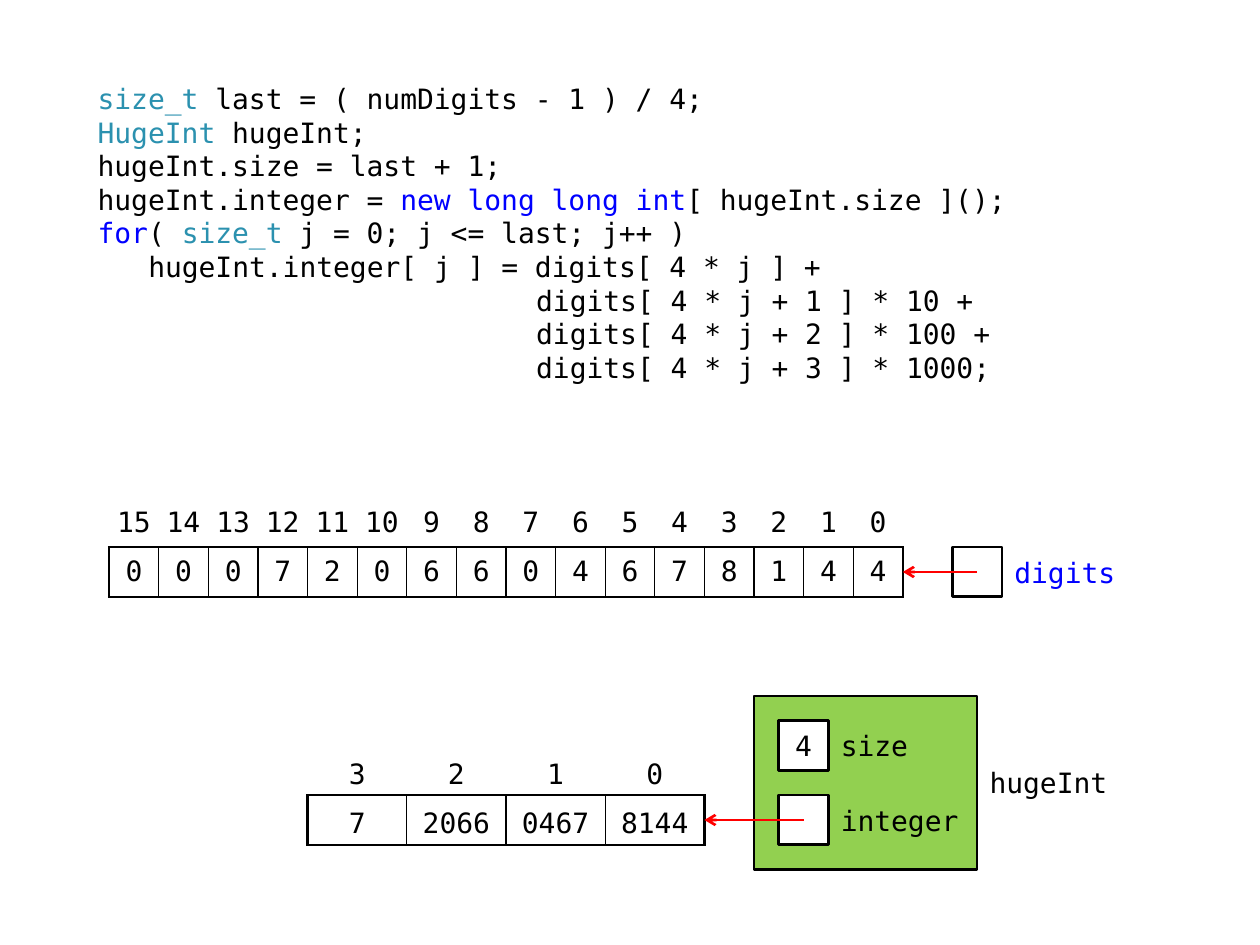
from lxml.etree import SubElement
from pptx import Presentation
from pptx.dml.color import RGBColor
from pptx.enum.shapes import MSO_CONNECTOR, MSO_SHAPE
from pptx.enum.text import MSO_ANCHOR, PP_ALIGN
from pptx.oxml.ns import qn
from pptx.util import Cm, Pt

FONT = "DejaVu Sans Mono"
BLACK, WHITE, GREEN, RED = "000000", "FFFFFF", "92D050", "FF0000"
TYPE, KEYWORD = "2B91AF", "0000FF"
CHARACTER = 0.34
CELL = 1
NO_STYLE = "{2D5ABB26-0587-4C30-8999-92F81FD0307C}"

CODE = [
    (0, [("size_t ", TYPE), ("last = ( numDigits - 1 ) / 4;", BLACK)]),
    (0, [("HugeInt ", TYPE), ("hugeInt;", BLACK)]),
    (0, [("hugeInt.size = last + 1;", BLACK)]),
    (0, [("hugeInt.integer = ", BLACK), ("new long long int", KEYWORD),
         ("[ hugeInt.size ]();", BLACK)]),
    (0, [("for", KEYWORD), ("( ", BLACK), ("size_t", TYPE),
         (" j = 0; j <= last; j++ )", BLACK)]),
    (3, [("hugeInt.integer[ j ] = digits[ 4 * j ] +", BLACK)]),
    (26, [("digits[ 4 * j + 1 ] * 10 +", BLACK)]),
    (26, [("digits[ 4 * j + 2 ] * 100 +", BLACK)]),
    (26, [("digits[ 4 * j + 3 ] * 1000;", BLACK)]),
]


def rgb(value):
    """Turn a hex string into a colour."""
    return RGBColor.from_string(value)


def apply(target, values):
    """Set every attribute in a dict on the target."""
    for name, value in values.items():
        setattr(target, name, value)


def add_span(para, text, color=BLACK):
    """Add a run of monospaced text."""
    span = para.add_run()
    span.text = text
    apply(span.font, {"name": FONT, "size": Pt(16), "bold": False})
    span.font.color.rgb = rgb(color)


def add_code(page, left, top, width, height):
    """Add the program listing with indented lines."""
    frame = page.shapes.add_textbox(Cm(left), Cm(top), Cm(width), Cm(height)).text_frame
    apply(frame, {"word_wrap": True, "vertical_anchor": MSO_ANCHOR.TOP})
    for number, (indent, spans) in enumerate(CODE):
        para = frame.add_paragraph() if number else frame.paragraphs[0]
        para.line_spacing = Pt(19.2)
        properties = para._p.get_or_add_pPr()
        properties.set("marL", str(Cm((indent + 3) * CHARACTER)))
        properties.set("indent", "0")
        for text, color in spans:
            add_span(para, text, color)


def add_label(page, text, left, top, width, height=CELL, color=BLACK):
    """Add a vertically centred caption."""
    frame = page.shapes.add_textbox(Cm(left), Cm(top), Cm(width), Cm(height)).text_frame
    apply(frame, {"word_wrap": True, "vertical_anchor": MSO_ANCHOR.MIDDLE,
                  "margin_left": Cm(0.25), "margin_right": Cm(0.2),
                  "margin_top": 0, "margin_bottom": 0})
    add_span(frame.paragraphs[0], text, color)


def add_box(page, left, top, width=CELL, height=CELL, fill=WHITE, text=""):
    """Add an outlined rectangle with optional centred text."""
    box = page.shapes.add_shape(MSO_SHAPE.RECTANGLE, Cm(left), Cm(top), Cm(width), Cm(height))
    box.shadow.inherit = False
    box.fill.solid()
    box.fill.fore_color.rgb = rgb(fill)
    box.line.color.rgb = rgb(BLACK)
    box.line.width = Pt(1.5)
    if text:
        apply(box.text_frame, {"vertical_anchor": MSO_ANCHOR.MIDDLE, "word_wrap": False})
        para = box.text_frame.paragraphs[0]
        para.alignment = PP_ALIGN.CENTER
        add_span(para, text)


def add_arrow(page, start, end, height):
    """Add a level red pointer arrow."""
    arrow = page.shapes.add_connector(
        MSO_CONNECTOR.STRAIGHT, Cm(start), Cm(height), Cm(end), Cm(height))
    arrow.line.color.rgb = rgb(RED)
    arrow.line.width = Pt(1.5)
    SubElement(arrow.line._get_or_add_ln(), qn("a:tailEnd"), type="arrow")
    SubElement(arrow._element.spPr, qn("a:effectLst"))


def add_border(cell, side, width):
    """Draw one solid black side of a cell."""
    line = SubElement(cell._tc.get_or_add_tcPr(), qn(f"a:ln{side}"), w=str(Pt(width)))
    SubElement(SubElement(line, qn("a:solidFill")), qn("a:srgbClr"), val=BLACK)


def add_array(page, values, left, top, column, spacing=None):
    """Add an array table with descending indices above its values."""
    count = len(values)
    table = page.shapes.add_table(
        2, count, Cm(left), Cm(top), Cm(column * count), Cm(2 * CELL)).table
    apply(table, {"first_row": False, "horz_banding": False})
    table._tbl.tblPr.find(qn("a:tableStyleId")).text = NO_STYLE
    for row in table.rows:
        row.height = Cm(CELL)
    for index, value in enumerate(values):
        table.columns[index].width = Cm(column)
        sides = {"L": 0.75 if index else 1.5,
                 "R": 0.75 if index < count - 1 else 1.5, "T": 1.5, "B": 1.5}
        rows = [(str(count - 1 - index), {"B": 1.5}), (value, sides)]
        for number, (text, borders) in enumerate(rows):
            cell = table.cell(number, index)
            apply(cell, {"vertical_anchor": MSO_ANCHOR.MIDDLE, "margin_left": 0,
                         "margin_right": 0, "margin_top": 0, "margin_bottom": 0})
            for side, width in borders.items():
                add_border(cell, side, width)
            cell.fill.background()
            para = cell.text_frame.paragraphs[0]
            apply(para, {"alignment": PP_ALIGN.CENTER, "line_spacing": spacing})
            add_span(para, text)


def main():
    """Build and save the slide."""
    deck = Presentation()
    apply(deck, {"slide_width": Cm(25.4), "slide_height": Cm(19.05)})
    page = deck.slides.add_slide(deck.slide_layouts[6])
    add_code(page, 0.7, 1.52, 24, 6.5)

    add_array(page, ["7", "2066", "0467", "8144"], 6.2, 15.03, 2, 1.25)
    add_box(page, 15.2, 14.03, 4.5, 3.5, GREEN)
    add_box(page, 15.7, 14.53, text="4")
    add_box(page, 15.7, 16.03)
    add_label(page, "hugeInt", 19.7, 15.03, 3, 1.5)
    add_label(page, "size", 16.7, 14.53, 2)
    add_label(page, "integer", 16.7, 16.03, 3)
    add_arrow(page, 16.2, 14.2, 16.53)

    add_array(page, list("0007206604678144"), 2.2, 10.03, CELL)
    add_label(page, "digits", 20.2, 11.03, 2.5, color=KEYWORD)
    add_box(page, 19.2, 11.03)
    add_arrow(page, 19.7, 18.2, 11.53)
    deck.save("out.pptx")


if __name__ == "__main__":
    main()
